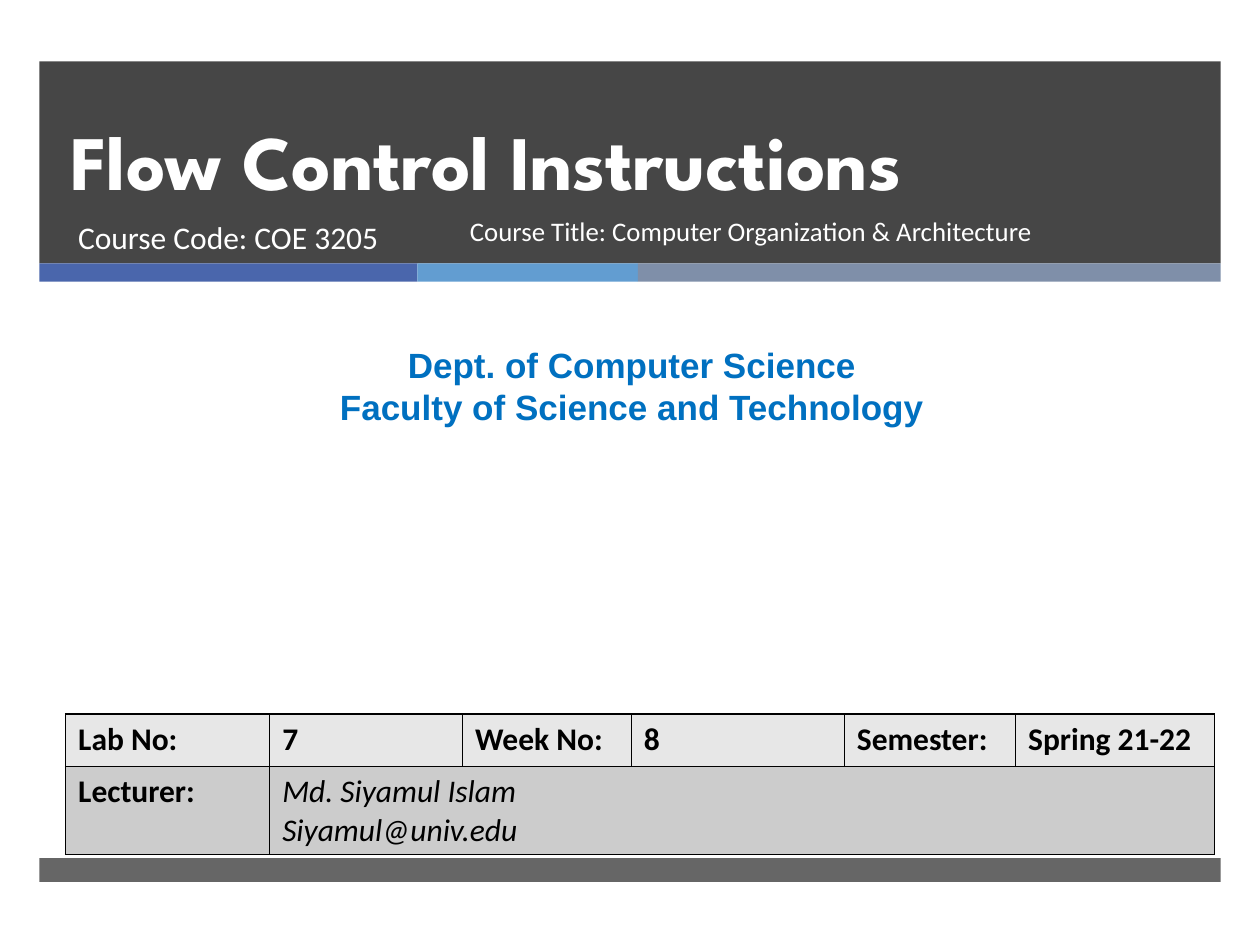
from lxml import etree
from pptx import Presentation
from pptx.dml.color import RGBColor
from pptx.enum.shapes import MSO_SHAPE
from pptx.enum.text import MSO_ANCHOR, PP_ALIGN
from pptx.oxml.ns import qn
from pptx.util import Pt

RECT = MSO_SHAPE.RECTANGLE
TOP, BOTTOM = MSO_ANCHOR.TOP, MSO_ANCHOR.BOTTOM
LEFT, CENTER = PP_ALIGN.LEFT, PP_ALIGN.CENTER

COLORS = {
    "dark": "262626", "navy": "4A66AC", "sky": "629DD1", "slate": "7F8FA9",
    "white": "FFFFFF", "blue": "0070C0", "black": "000000",
    "light": "E7E7E7", "gray": "CCCCCC",
}
EDGE, SPAN = 22.5, 675  # left edge and width of the page bars


def color(name):
    return RGBColor.from_string(COLORS[name])


def add_bar(slide, box, fill, alpha=100):
    bar = slide.shapes.add_shape(RECT, *map(Pt, box))
    bar.shadow.inherit = False
    bar.line.fill.background()
    bar.fill.solid()
    bar.fill.fore_color.rgb = color(fill)
    if alpha < 100:
        tint = bar.fill._xPr.find(qn("a:solidFill"))[0]
        etree.SubElement(tint, qn("a:alpha"), val=str(alpha * 1000))


def write(frame, lines, font, tone, align=LEFT, space=None):
    for i, line in enumerate(lines):
        para = frame.paragraphs[0] if i == 0 else frame.add_paragraph()
        para.alignment = align
        para.line_spacing = space
        run = para.add_run()
        run.text = line
        for key, value in font.items():
            setattr(run.font, key, value)
        run.font.color.rgb = color(tone)


def add_text(slide, box, lines, font, tone, anchor=TOP, **style):
    frame = slide.shapes.add_textbox(*map(Pt, box)).text_frame
    frame.word_wrap = True
    frame.vertical_anchor = anchor
    write(frame, lines, font, tone, **style)


def add_border(cell):
    props = cell._tc.get_or_add_tcPr()
    for i, side in enumerate(("a:lnL", "a:lnR", "a:lnT", "a:lnB")):
        line = etree.Element(qn(side), w=str(Pt(1)))
        fill = etree.SubElement(line, qn("a:solidFill"))
        etree.SubElement(fill, qn("a:srgbClr"), val=COLORS["black"])
        props.insert(i, line)


def add_grid(slide, left, top, widths, heights, rows):
    grid = slide.shapes.add_table(
        len(heights), len(widths), Pt(left), Pt(top),
        Pt(sum(widths)), Pt(sum(heights))).table
    for col, width in zip(grid.columns, widths):
        col.width = Pt(width)
    for row, height in zip(grid.rows, heights):
        row.height = Pt(height)
    # The lecturer's details fill the rest of the second row
    grid.cell(1, 1).merge(grid.cell(1, len(widths) - 1))
    for r, (fill, texts) in enumerate(rows):
        for c in range(len(widths)):
            cell = grid.cell(r, c)
            cell.fill.solid()
            cell.fill.fore_color.rgb = color(fill)
            add_border(cell)
            if c < len(texts):
                plain = (r, c) == (1, 1)
                font = {"name": "Calibri", "size": Pt(18),
                        "bold": not plain, "italic": plain}
                write(cell.text_frame, texts[c], font, "black")


def main():
    deck = Presentation()
    deck.slide_width, deck.slide_height = Pt(720), Pt(540)
    slide = deck.slides.add_slide(deck.slide_layouts[6])

    # Header block, colour strip and footer bar
    add_bar(slide, (EDGE, 35, SPAN, 115.5), "dark", 85)
    left = EDGE
    for fill, width in (("navy", 216), ("sky", 126), ("slate", 333)):
        add_bar(slide, (left, 150.5, width, 10.5), fill)
        left += width
    add_bar(slide, (EDGE, 490.3, SPAN, 13.7), "dark", 70)

    # Title and course
    add_text(slide, (33, 35, 615, 86), ["Flow Control Instructions"],
             {"name": "League Spartan", "size": Pt(44), "bold": True},
             "white", BOTTOM, space=Pt(46))
    add_text(slide, (37.5, 121, 220, 38), ["Course Code: COE 3205"],
             {"name": "Calibri", "size": Pt(18)}, "white")
    add_text(slide, (261.4, 121, 338, 38),
             ["Course Title: Computer Organization & Architecture"],
             {"name": "Calibri", "size": Pt(15.3)}, "white", space=0.9)

    # Department
    add_text(slide, (5.8, 193, 710.6, 55.5),
             ["Dept. of Computer Science", "Faculty of Science and Technology"],
             {"name": "Arial", "size": Pt(20), "bold": True},
             "blue", align=CENTER)

    # Lab details
    first = ["Lab No:", "7", "Week No:", "8", "Semester:", "Spring 21-22"]
    rows = [
        ("light", [[text] for text in first]),
        ("gray", [["Lecturer:"], ["Md. Siyamul Islam", "Siyamul@univ.edu"]]),
    ]
    add_grid(slide, 37.5, 408, (116.6, 110.2, 96.5, 121.7, 97.9, 113.8),
             (30, 50.4), rows)

    deck.save("out.pptx")


if __name__ == "__main__":
    main()
